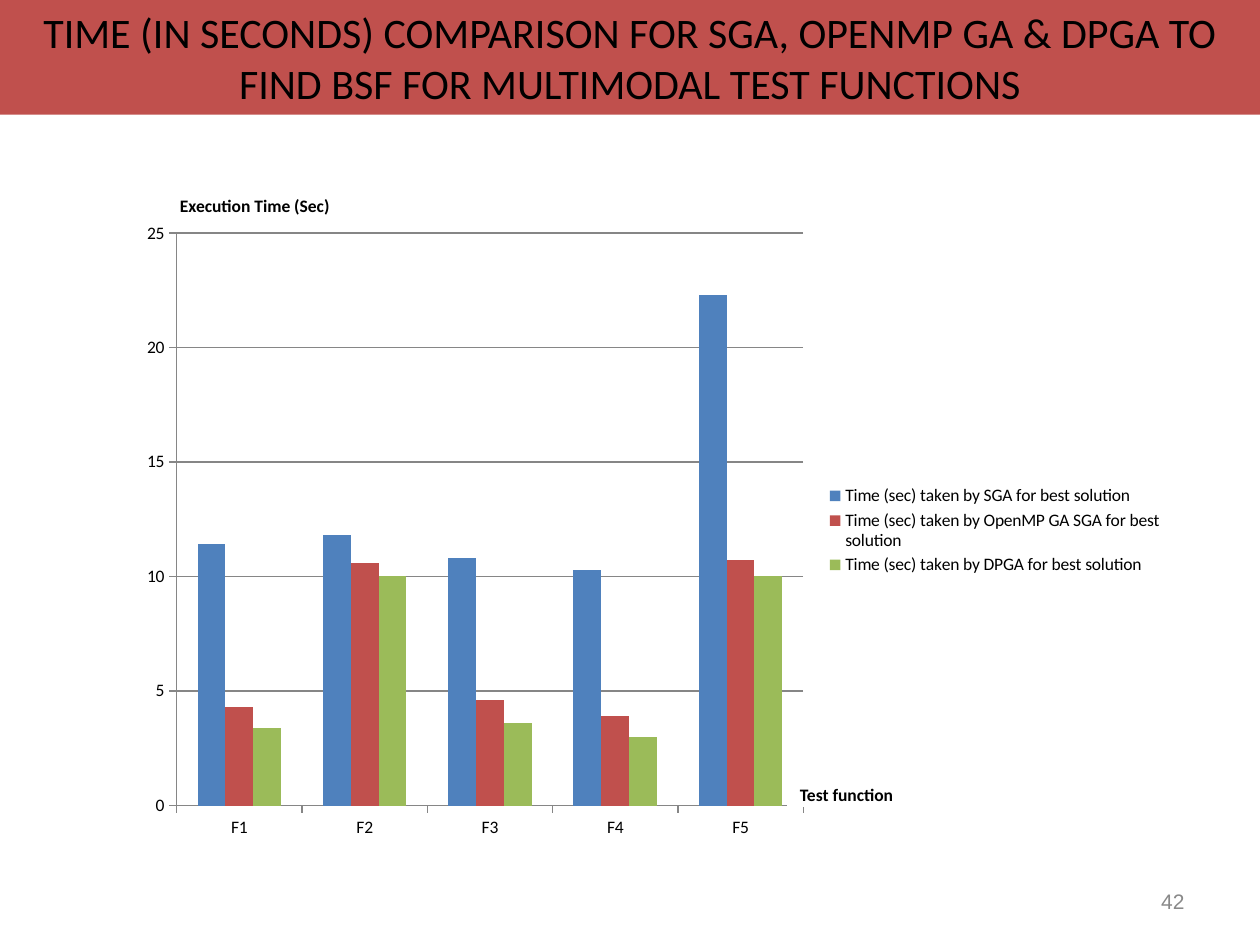
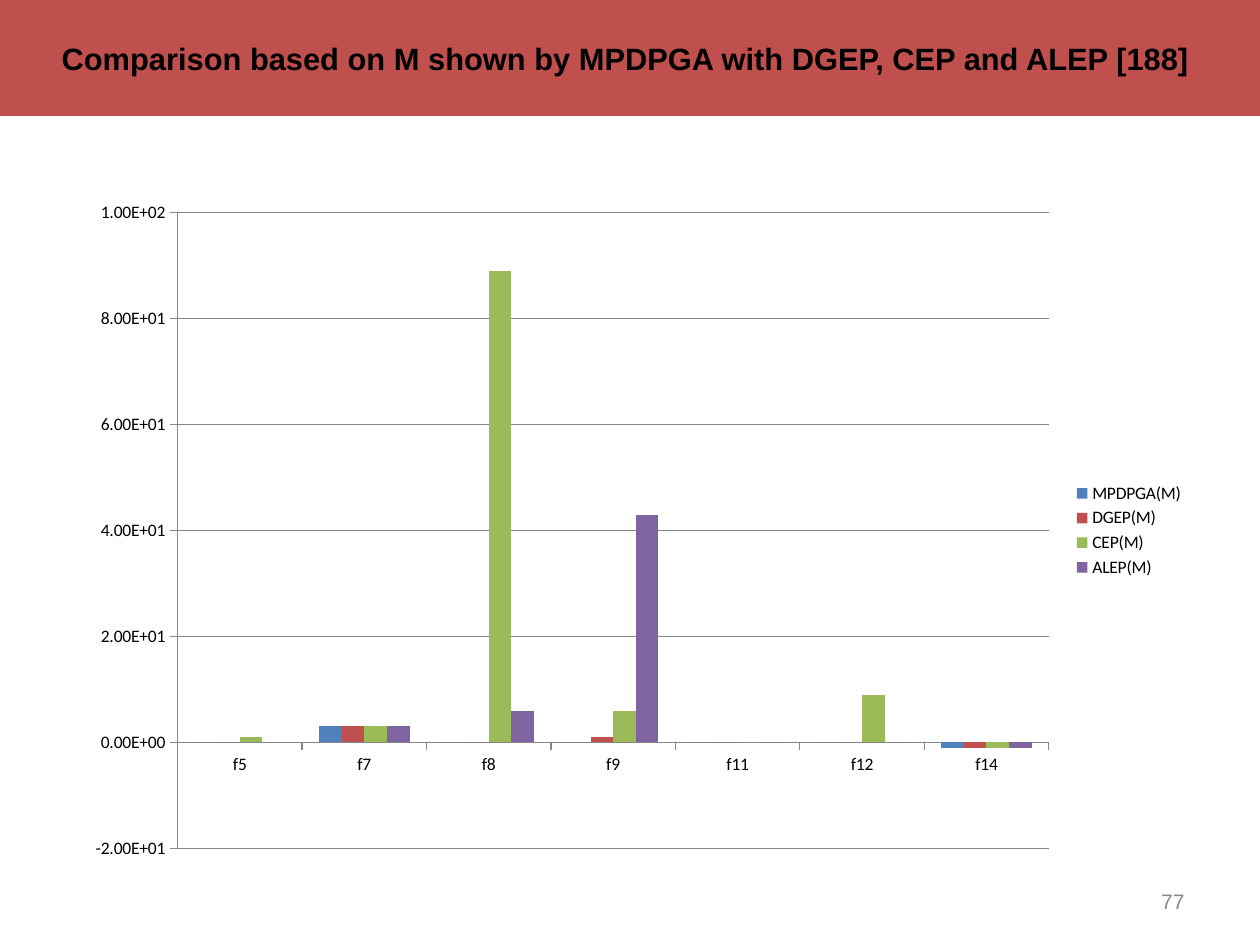
from pptx import Presentation
from pptx.chart.data import CategoryChartData
from pptx.dml.color import RGBColor
from pptx.enum import chart as ch, shapes, text
from pptx.util import Inches, Pt

BLACK = RGBColor(0x00, 0x00, 0x00)
WHITE = RGBColor(0xFF, 0xFF, 0xFF)
GRAY = RGBColor(0x89, 0x89, 0x89)
AXIS_GRAY = RGBColor(0x86, 0x86, 0x86)
BLUE = RGBColor(0x4F, 0x81, 0xBD)
RED = RGBColor(0xC0, 0x50, 0x4D)
GREEN = RGBColor(0x9B, 0xBB, 0x59)
PURPLE = RGBColor(0x80, 0x64, 0xA2)
SERIES_COLORS = [BLUE, RED, GREEN, PURPLE]

TITLE_ONLY = 5

comparisons = [
    {
        "title": "TIME (IN SECONDS) COMPARISON FOR SGA, OPENMP GA & DPGA TO "
                 "FIND BSF FOR MULTIMODAL TEST FUNCTIONS",
        "title_font": ("Calibri", 24, False),
        "band_height": 0.91,
        "number": "42",
        "area": (1, 1.67, 8.33, 5.08),
        "functions": ["F1", "F2", "F3", "F4", "F5"],
        "results": {
            "Time (sec) taken by SGA for best solution": [11.4, 11.8, 10.8, 10.3, 22.3],
            "Time (sec) taken by OpenMP GA SGA for best solution": [4.3, 10.6, 4.6, 3.9, 10.7],
            "Time (sec) taken by DPGA for best solution": [3.4, 10, 3.6, 3, 10],
        },
        "scale": (0, 25, 5),
        "format": "General",
        "axis_labels": [
            ("Test function", (6.25, 6.17, 1.05, 0.23)),
            ("Execution Time (Sec)", (1.33, 1.5, 1.58, 0.25)),
        ],
    },
    {
        "title": "Comparison based on M shown by MPDPGA with DGEP, CEP and ALEP [188] ",
        "title_font": ("Arial", 17.6, True),
        "band_height": 0.92,
        "number": "77",
        "area": (0.58, 1.5, 8.92, 5.42),
        "functions": ["f5", "f7", "f8", "f9", "f11", "f12", "f14"],
        "results": {
            "MPDPGA(M)": [0, 3, 0, 0, 0, 0, -1],
            "DGEP(M)": [0, 3, 0, 1, 0, 0, -1],
            "CEP(M)": [1, 3, 89, 6, 0, 9, -1],
            "ALEP(M)": [None, 3, 6, 43, 0, 0, -1],
        },
        "scale": (-20, 100, 20),
        "format": "0.00E+00",
        "axis_labels": [],
    },
]


def style(paragraph, font_name, size, color, bold=False, align=None):
    paragraph.alignment = align
    for run in paragraph.runs:
        run.font.name = font_name
        run.font.size = Pt(size)
        run.font.bold = bold
        run.font.color.rgb = color


prs = Presentation()
prs.slide_width, prs.slide_height = Inches(10), Inches(7.5)

for comparison in comparisons:
    slide = prs.slides.add_slide(prs.slide_layouts[TITLE_ONLY])

    # Title band
    title = slide.shapes.title
    title.left = title.top = 0
    title.width, title.height = prs.slide_width, Inches(comparison["band_height"])
    title.fill.solid()
    title.fill.fore_color.rgb = RED
    heading = title.text_frame
    heading.text = comparison["title"]
    heading.auto_size = text.MSO_AUTO_SIZE.NONE
    heading.vertical_anchor = text.MSO_ANCHOR.MIDDLE
    font_name, size, bold = comparison["title_font"]
    style(heading.paragraphs[0], font_name, size, BLACK, bold, text.PP_ALIGN.CENTER)

    # Column chart
    data = CategoryChartData(number_format=comparison["format"])
    data.categories = comparison["functions"]
    for algorithm, values in comparison["results"].items():
        data.add_series(algorithm, values)
    chart = slide.shapes.add_chart(
        ch.XL_CHART_TYPE.COLUMN_CLUSTERED, *map(Inches, comparison["area"]), data).chart
    chart.has_title = False
    chart.font.name = "Calibri"
    chart.font.size = Pt(10)
    chart.font.color.rgb = BLACK
    chart.has_legend = True
    chart.legend.position = ch.XL_LEGEND_POSITION.RIGHT
    chart.legend.include_in_layout = False

    columns = chart.plots[0]
    columns.gap_width = 150
    columns.overlap = 0
    columns.vary_by_categories = False
    for series, color in zip(columns.series, SERIES_COLORS):
        series.invert_if_negative = False
        series.format.fill.solid()
        series.format.fill.fore_color.rgb = color

    # Axes and gridlines
    times = chart.value_axis
    times.minimum_scale, times.maximum_scale, times.major_unit = comparison["scale"]
    times.tick_labels.number_format = comparison["format"]
    times.tick_labels.number_format_is_linked = False
    times.has_major_gridlines = True
    for axis in (chart.category_axis, times):
        axis.major_tick_mark = ch.XL_TICK_MARK.OUTSIDE
        axis.minor_tick_mark = ch.XL_TICK_MARK.NONE
    for rule in (chart.category_axis, times, times.major_gridlines):
        rule.format.line.color.rgb = AXIS_GRAY
        rule.format.line.width = Pt(0.75)

    # Axis labels over the chart
    for caption, place in comparison["axis_labels"]:
        label = slide.shapes.add_shape(shapes.MSO_SHAPE.RECTANGLE, *map(Inches, place))
        label.shadow.inherit = False
        label.fill.solid()
        label.fill.fore_color.rgb = WHITE
        label.line.color.rgb = WHITE
        label.line.width = Pt(0.75)
        label.text_frame.text = caption
        label.text_frame.vertical_anchor = text.MSO_ANCHOR.TOP
        style(label.text_frame.paragraphs[0], "Calibri", 10, BLACK, True, text.PP_ALIGN.LEFT)
        label.text_frame.paragraphs[0].space_after = Pt(10)

    # Slide number
    number = slide.shapes.add_textbox(
        Inches(7.17), Inches(6.95), Inches(2.33), Inches(0.4)).text_frame
    number.word_wrap = True
    number.vertical_anchor = text.MSO_ANCHOR.MIDDLE
    number.text = comparison["number"]
    style(number.paragraphs[0], "Arial", 12, GRAY, align=text.PP_ALIGN.RIGHT)

prs.save("out.pptx")
